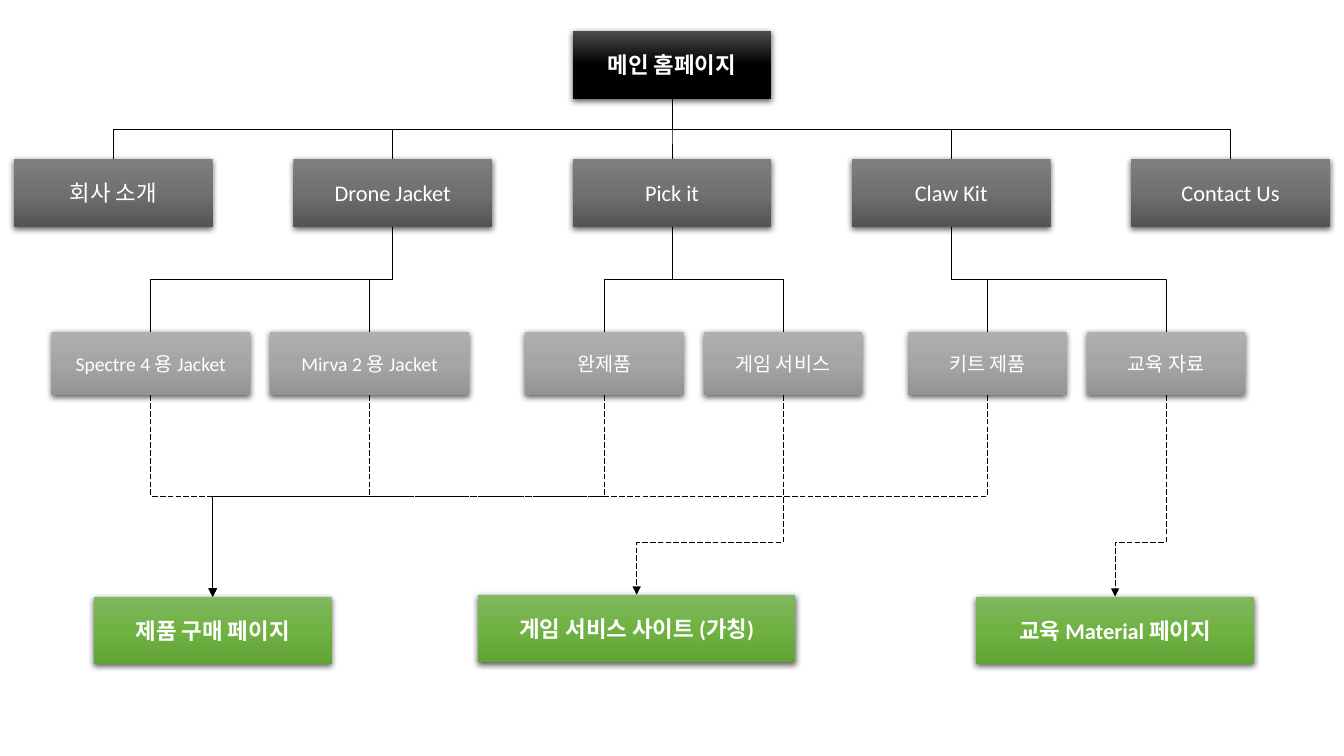
"""Build a site map slide: home page, sections, subpages and target pages."""
from copy import deepcopy

from pptx import Presentation
from pptx.dml.color import RGBColor
from pptx.enum.dml import MSO_LINE
from pptx.enum.shapes import MSO_CONNECTOR, MSO_SHAPE
from pptx.enum.text import MSO_ANCHOR, MSO_AUTO_SIZE, PP_ALIGN
from pptx.oxml import parse_xml
from pptx.oxml.ns import nsdecls, qn
from pptx.util import Inches, Pt

BLACK = RGBColor(0x00, 0x00, 0x00)
WHITE = RGBColor(0xFF, 0xFF, 0xFF)
HOME_FILL = (RGBColor(0x4B, 0x4B, 0x4B), BLACK, BLACK)
SECTION_FILL = (RGBColor(0x7F, 0x7F, 0x7F), RGBColor(0x70, 0x70, 0x70), RGBColor(0x54, 0x54, 0x54))
SUBPAGE_FILL = (RGBColor(0xAF, 0xAF, 0xAF), RGBColor(0xA5, 0xA5, 0xA5), RGBColor(0x93, 0x93, 0x93))
TARGET_FILL = (RGBColor(0x81, 0xB8, 0x61), RGBColor(0x6F, 0xB2, 0x42), RGBColor(0x62, 0xA3, 0x36))

HOME = "메인 홈페이지"
SECTIONS = ["회사 소개", "Drone Jacket", "Pick it", "Claw Kit", "Contact Us"]
SHOP, GAME_SITE, LESSONS = "제품 구매 페이지", "게임 서비스 사이트 (가칭)", "교육 Material 페이지"
# section: (left of group, box width, {subpage: target})
SUBPAGES = {
    "Drone Jacket": (0.51, 1.97, {"Spectre 4 용 Jacket": SHOP, "Mirva 2 용 Jacket": SHOP}),
    "Pick it": (5.21, 1.57, {"완제품": SHOP, "게임 서비스": GAME_SITE}),
    "Claw Kit": (9.01, 1.57, {"키트 제품": SHOP, "교육 자료": LESSONS}),
}
# target: (left, top, width, share of the drop where the line bends)
TARGETS = {
    SHOP: (0.93, 5.92, 2.36, 0.5),
    GAME_SITE: (4.74, 5.9, 3.15, 0.74),
    LESSONS: (9.68, 5.92, 2.76, 0.73),
}

SLIDE_WIDTH, SLIDE_HEIGHT = 13.33, 7.5
BOX_WIDTH, BOX_HEIGHT, SUBPAGE_HEIGHT = 1.97, 0.67, 0.63
HOME_TOP, SECTION_TOP, SUBPAGE_TOP = 0.31, 1.58, 3.29
SECTION_PITCH, SUBPAGE_GAP = 2.77, 0.2
CENTER_LEFT = (SLIDE_WIDTH - BOX_WIDTH) / 2

SHADOW = (
    f'<a:effectLst {nsdecls("a")}><a:outerShdw blurRad="57150" dist="19050" dir="5400000" '
    'algn="ctr" rotWithShape="0"><a:srgbClr val="000000"><a:alpha val="63000"/></a:srgbClr>'
    '</a:outerShdw></a:effectLst>'
)

presentation = Presentation()
presentation.slide_width, presentation.slide_height = Inches(SLIDE_WIDTH), Inches(SLIDE_HEIGHT)
slide = presentation.slides.add_slide(presentation.slide_layouts[6])
boxes = {}


def fill_gradient(shape, colors):
    shape.fill.gradient()
    shape.fill.gradient_angle = 270
    stop_list = shape.element.spPr.find(qn("a:gradFill")).find(qn("a:gsLst"))
    stop_list.insert(1, deepcopy(stop_list[0]))
    for stop, position, color in zip(shape.fill.gradient_stops, (0, 0.5, 1), colors):
        stop.position = position
        stop.color.rgb = color


def add_box(text, left, top, width, height, colors, size=16, bold=False):
    shape = slide.shapes.add_shape(
        MSO_SHAPE.RECTANGLE, Inches(left), Inches(top), Inches(width), Inches(height))
    fill_gradient(shape, colors)
    shape.line.fill.background()
    shape.element.spPr.append(parse_xml(SHADOW))
    frame = shape.text_frame
    frame.word_wrap = True
    frame.auto_size = MSO_AUTO_SIZE.SHAPE_TO_FIT_TEXT
    frame.vertical_anchor = MSO_ANCHOR.MIDDLE
    frame.margin_left = frame.margin_right = Inches(0.1)
    frame.margin_top = frame.margin_bottom = Inches(0.2)
    paragraph = frame.paragraphs[0]
    paragraph.text = text
    paragraph.alignment = PP_ALIGN.CENTER
    font = paragraph.font
    font.name, font.size, font.bold = "Calibri", Pt(size), bold
    font.color.rgb = WHITE
    boxes[text] = shape


def link(parent, child, bend=0.5, dashed=False):
    upper, lower = boxes[parent], boxes[child]
    connector = slide.shapes.add_connector(MSO_CONNECTOR.ELBOW, 0, 0, 0, 0)
    connector.begin_connect(upper, 2)
    connector.end_connect(lower, 0)
    start_x, end_x = upper.left + upper.width // 2, lower.left + lower.width // 2
    start_y, end_y = upper.top + upper.height, lower.top
    drop, shift = end_y - start_y, abs(end_x - start_x)
    connector.left = (start_x + end_x - drop) // 2
    connector.top = (start_y + end_y - shift) // 2
    connector.width, connector.height = drop, shift

    properties = connector.element.spPr
    to_right = end_x > start_x
    transform = properties.get_or_add_xfrm()
    transform.rot = 270.0 if to_right else 90.0
    transform.flipH, transform.flipV = to_right, False
    geometry = properties.find(qn("a:prstGeom"))
    geometry.get_or_add_avLst().append(parse_xml(
        f'<a:gd {nsdecls("a")} name="adj1" fmla="val {round(bend * 100000)}"/>'))

    connector.line.color.rgb = BLACK
    connector.line.width = Pt(0.5)
    if dashed:
        connector.line.dash_style = MSO_LINE.LONG_DASH
        properties.find(qn("a:ln")).append(parse_xml(f'<a:tailEnd {nsdecls("a")} type="triangle"/>'))
    properties.append(parse_xml(f'<a:effectLst {nsdecls("a")}/>'))


add_box(HOME, CENTER_LEFT, HOME_TOP, BOX_WIDTH, BOX_HEIGHT, HOME_FILL, bold=True)
for target, (left, top, width, _) in TARGETS.items():
    add_box(target, left, top, width, BOX_HEIGHT, TARGET_FILL, bold=True)

for column, section in enumerate(SECTIONS):
    left = CENTER_LEFT + (column - len(SECTIONS) // 2) * SECTION_PITCH
    add_box(section, left, SECTION_TOP, BOX_WIDTH, BOX_HEIGHT, SECTION_FILL)
    link(HOME, section)

for section, (group_left, width, subpages) in SUBPAGES.items():
    for column, (subpage, target) in enumerate(subpages.items()):
        left = group_left + column * (width + SUBPAGE_GAP)
        add_box(subpage, left, SUBPAGE_TOP, width, SUBPAGE_HEIGHT, SUBPAGE_FILL, size=14)
        link(section, subpage)
        link(subpage, target, bend=TARGETS[target][-1], dashed=True)

presentation.save("out.pptx")
